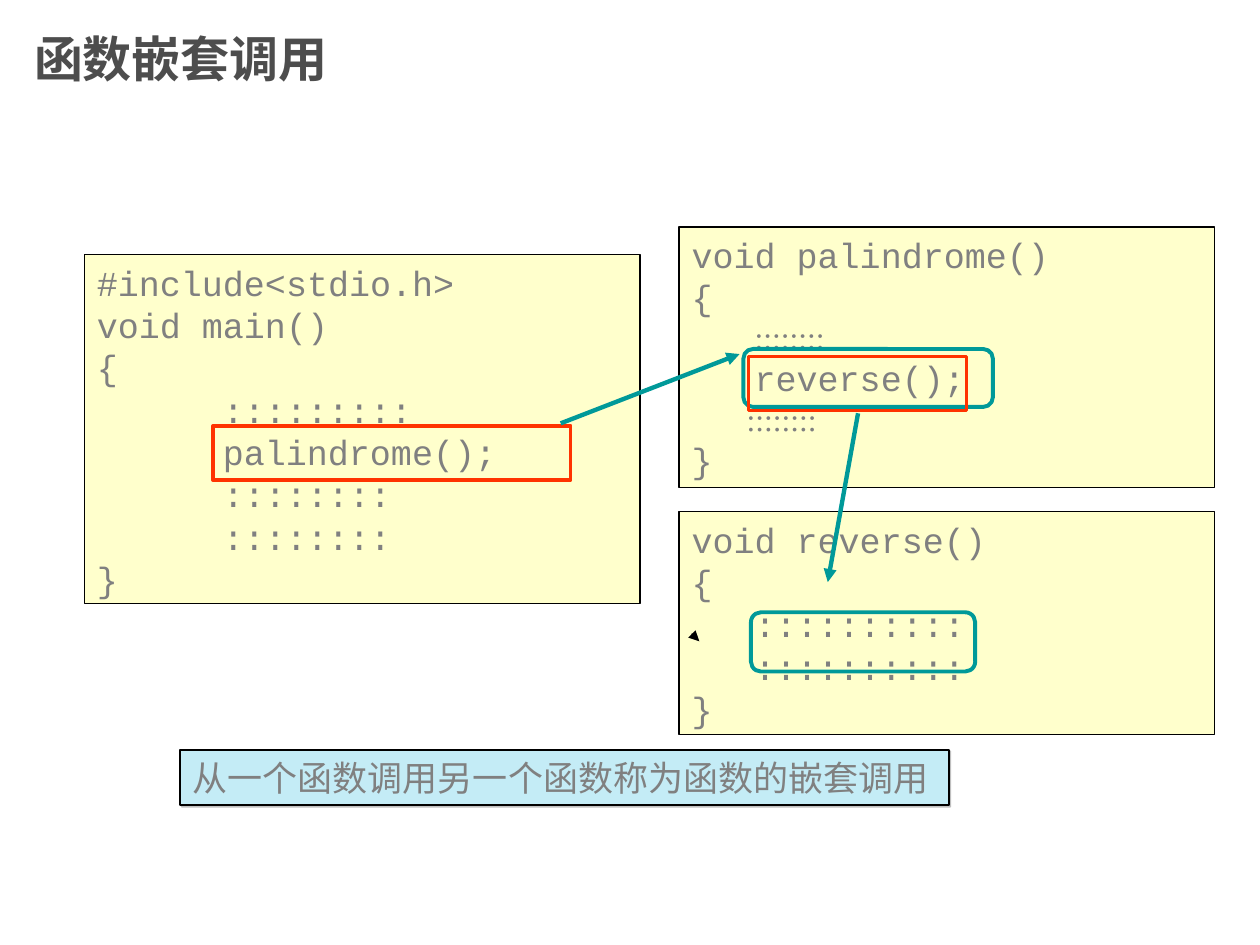
from pptx import Presentation
from pptx.dml.color import RGBColor as RGB
from pptx.enum.shapes import MSO_CONNECTOR as LINE, MSO_SHAPE as SHAPE
from pptx.enum.text import MSO_ANCHOR as ANCHOR, PP_ALIGN as ALIGN
from pptx.oxml.ns import qn
from pptx.util import Inches, Pt
from lxml.etree import SubElement as Sub

HUES = {
    "ink": "808080", "title": "4D4D4D", "edge": "000000", "code": "FFFFCC",
    "note": "C4ECF6", "call": "FF3300", "flow": "009999",
}
MONO, SERIF = ("Courier New", 20), ("Times New Roman", 18)
GRID = 10


def hue(name):
    return RGB.from_string(HUES[name])


def cells(*vals):
    return [Inches(val / GRID) for val in vals]


def block(slide, box, kind, edge, width, fill=None):
    shape = slide.shapes.add_shape(kind, *cells(*box))
    shape.shadow.inherit = False
    shape.line.color.rgb = hue(edge)
    shape.line.width = Pt(width)
    if fill:
        shape.fill.solid()
        shape.fill.fore_color.rgb = hue(fill)
    else:
        shape.fill.background()
    return shape


def style(font, face, size, color):
    font.name, font.size = face, Pt(size)
    font.color.rgb = hue(color)


def code(slide, box, lines):
    frame = block(slide, box, SHAPE.RECTANGLE, "edge", 1, "code").text_frame
    frame.word_wrap = True
    frame.vertical_anchor = ANCHOR.TOP
    for row, line in enumerate(lines):
        para = frame.add_paragraph() if row else frame.paragraphs[0]
        para.alignment = ALIGN.LEFT
        runs = [(line, MONO)] if isinstance(line, str) else line
        para.line_spacing = Pt(runs[-1][1][1] + 4.2)
        tabs = Sub(para._p.get_or_add_pPr(), qn("a:tabLst"))
        Sub(tabs, qn("a:tab"), pos=str(Inches(1)), algn="l")
        if len(runs) == 1:
            style(para.font, *runs[0][1], "ink")
        for text, face in runs:
            run = para.add_run()
            run.text = text
            if len(runs) > 1:
                style(run.font, *face, "ink")


def mark(slide, box, inner, edge):
    left, top, wide, high = inner
    place = box[0] + left, box[1] + top, wide, high
    if edge == "call":
        block(slide, place, SHAPE.RECTANGLE, edge, 2)
    else:
        block(slide, place, SHAPE.ROUNDED_RECTANGLE, edge, 2.25)


def arrow(slide, ends, color, width):
    line = slide.shapes.add_connector(LINE.STRAIGHT, *cells(*ends))
    line.line.color.rgb = hue(color)
    line.line.width = Pt(width)
    Sub(line.line._get_or_add_ln(), qn("a:tailEnd"), type="triangle")
    Sub(line._element.spPr, qn("a:effectLst"))


def head(slide, box, text):
    title = slide.shapes.title
    title.left, title.top, title.width, title.height = cells(*box)
    frame = title.text_frame
    frame.text = text
    frame.vertical_anchor = ANCHOR.MIDDLE
    para = frame.paragraphs[0]
    para.alignment = ALIGN.LEFT
    style(para.font, "Arial", 28, "title")
    para.font.bold = True


def note(slide, box, text):
    shape = block(slide, box, SHAPE.RECTANGLE, "edge", 1, "note")
    glow = shape._element.spPr.find(qn("a:effectLst"))
    shade = Sub(glow, qn("a:outerShdw"), dist=str(Pt(1.4)), dir="2700000", algn="ctr")
    tint = Sub(shade, qn("a:srgbClr"), val=HUES["ink"])
    Sub(tint, qn("a:alpha"), val="50000")
    frame = shape.text_frame
    frame.word_wrap = True
    frame.vertical_anchor = ANCHOR.MIDDLE
    para = frame.paragraphs[0]
    para.text = text
    para.alignment = ALIGN.LEFT
    style(para.font, *MONO, "ink")


def main():
    deck = Presentation()
    deck.slide_width, deck.slide_height = cells(100, 75)
    slide = deck.slides.add_slide(deck.slide_layouts[5])
    start = 6.7, 20.2, 44.1, 27.7
    middle = 53.9, 18, 42.5, 20.7
    last = 53.9, 40.6, 42.5, 17.7
    dots = "::::::::"

    head(slide, (1.7, 0, 75, 9.2), "函数嵌套调用")
    code(slide, last, ["void reverse()", "{"] + ["   ::::::::::"] * 2 + ["}"])
    arrow(slide, (54.9, 50.3, 55.5, 50.9), "edge", 0.75)
    code(slide, start, ["#include<stdio.h>", "void main()", "{", "\t:::::::::",
                        "\tpalindrome();", "\t" + dots, "\t" + dots, "}"])
    code(slide, middle, ["void palindrome()", "{", [("   ", MONO), (dots, SERIF)],
                         "   reverse();", [("       " + dots, SERIF)], "}"])
    mark(slide, start, (10.2, 13.6, 28.4, 4.3), "call")
    arrow(slide, (44.5, 33.6, 58.7, 28.1), "flow", 2.5)
    mark(slide, middle, (5.1, 9.7, 19.8, 4.6), "flow")
    mark(slide, middle, (5.5, 10.3, 17.3, 4.3), "call")
    arrow(slide, (68.1, 32.8, 65.7, 46.2), "flow", 2.5)
    mark(slide, last, (5.7, 8, 17.8, 4.7), "flow")
    note(slide, (14.3, 59.5, 61, 4.4), "从一个函数调用另一个函数称为函数的嵌套调用")
    deck.save("out.pptx")


if __name__ == "__main__":
    main()
